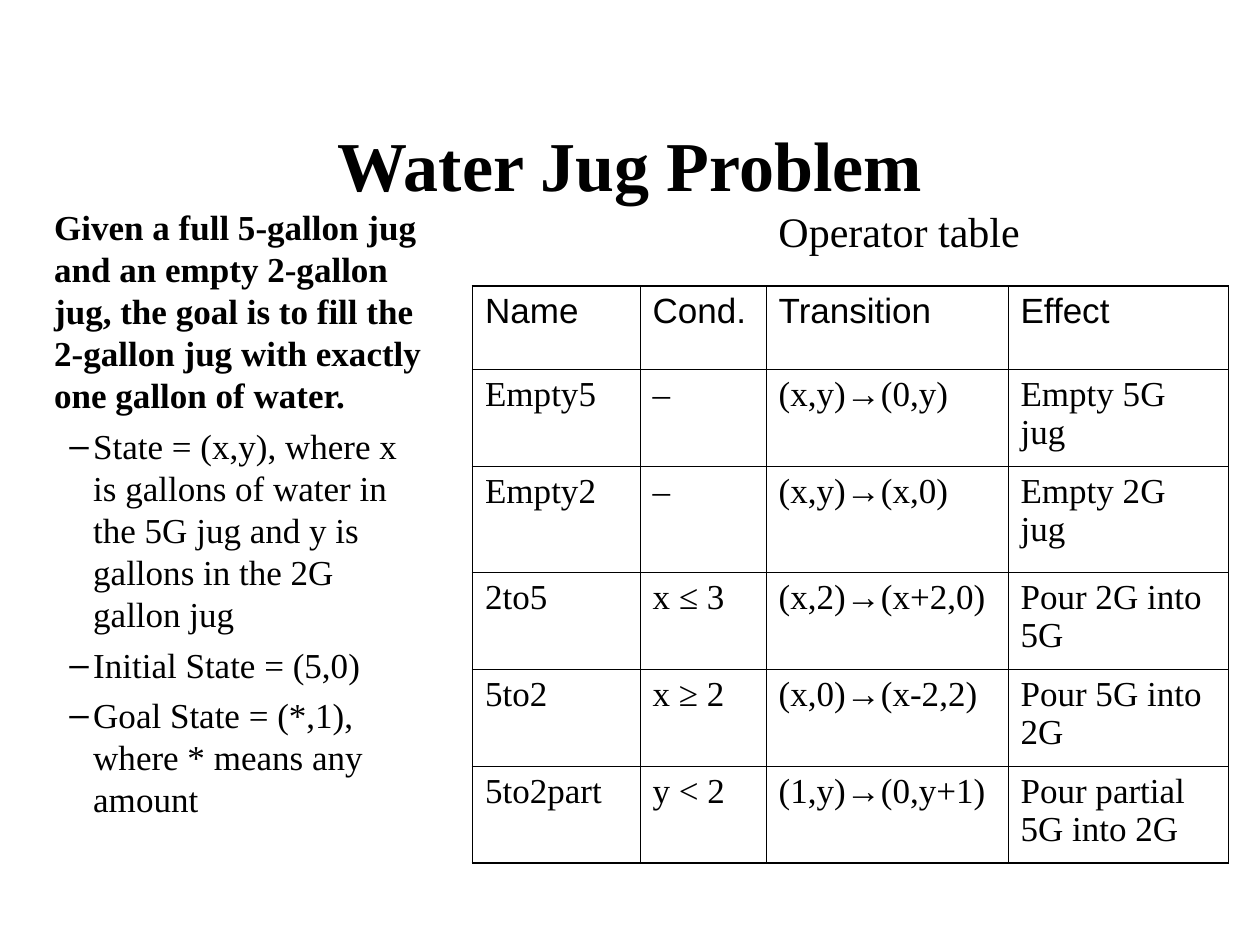
from dataclasses import dataclass

from lxml import etree
from pptx import Presentation
from pptx.dml.color import RGBColor
from pptx.enum.text import MSO_ANCHOR, MSO_AUTO_SIZE, PP_ALIGN
from pptx.oxml.ns import qn
from pptx.util import Inches, Pt

BLACK = RGBColor(0, 0, 0)
SERIF = "Times New Roman"
SANS = "Arial"
NONE = MSO_AUTO_SIZE.NONE
MIDDLE = MSO_ANCHOR.MIDDLE
TOP = MSO_ANCHOR.TOP
CENTER = PP_ALIGN.CENTER
LEFT = PP_ALIGN.LEFT
THIN, THICK = 0.45, 1.08


@dataclass
class Item:
    text: str
    level: int = 1


@dataclass
class Rule:
    name: str
    cond: str
    move: str
    effect: str

    def cells(self) -> list[str]:
        return [self.name, self.cond, self.move, self.effect]


ITEMS = [
    Item("Given a full 5-gallon jug and an empty 2-gallon jug, the goal is "
         "to fill the 2-gallon jug with exactly one gallon of water.", 0),
    Item("State = (x,y), where x is gallons of water in the 5G jug "
         "and y is gallons in the 2G gallon jug"),
    Item("Initial State = (5,0)"),
    Item("Goal State = (*,1), where * means any amount"),
]
RULES = [
    Rule("Name", "Cond.", "Transition", "Effect"),
    Rule("Empty5", "–", "(x,y)_→_(0,y)", "Empty 5G jug"),
    Rule("Empty2", "–", "(x,y)→(x,0)", "Empty 2G jug"),
    Rule("2to5", "x _≤ _3", "(x,2)→(x+2,0)", "Pour 2G into 5G"),
    Rule("5to2", "x ≥ 2", "(x,0)→(x-2,2)", "Pour 5G into 2G"),
    Rule("5to2part", "y < 2", "(1,y)→(0,y+1)", "Pour partial 5G into 2G"),
]
WIDTHS = [1.33, 1, 1.92, 1.75]
HEIGHTS = [0.66, 0.77, 0.84, 0.77, 0.77, 0.77]


def place(shape, left: float, top: float, width: float, height: float) -> None:
    shape.left, shape.top = Inches(left), Inches(top)
    shape.width, shape.height = Inches(width), Inches(height)


def style(para, size: float, face: str = SERIF, bold: bool = False) -> None:
    for run in para.runs:
        font = run.font
        font.size, font.name, font.bold = Pt(size), face, bold
        font.color.rgb = BLACK


def bullet(para, level: int) -> None:
    props = para._p.get_or_add_pPr()
    props.set("marL", str(Inches(0.31 * level)))
    props.set("indent", str(Inches(-0.19 * level)))
    if level:
        etree.SubElement(props, qn("a:buChar")).set("char", "–")
    else:
        etree.SubElement(props, qn("a:buNone"))


def border(cell, side: str, width: float) -> None:
    line = etree.SubElement(cell._tc.get_or_add_tcPr(), qn(f"a:{side}"))
    line.set("w", str(Pt(width)))
    fill = etree.SubElement(line, qn("a:solidFill"))
    etree.SubElement(fill, qn("a:srgbClr")).set("val", str(BLACK))


def draw_title(slide) -> None:
    title = slide.shapes.title
    place(title, 0.75, 0.67, 8.5, 1.25)
    frame = title.text_frame
    frame.text = "Water Jug Problem"
    frame.auto_size, frame.vertical_anchor = NONE, MIDDLE
    para = frame.paragraphs[0]
    para.alignment = CENTER
    style(para, 40, bold=True)


def draw_list(slide, items: list[Item]) -> None:
    body = slide.placeholders[1]
    place(body, 0.33, 1.58, 3.17, 5.5)
    frame = body.text_frame
    frame.text = "\n".join(item.text for item in items)
    frame.auto_size, frame.vertical_anchor = NONE, TOP
    for para, item in zip(frame.paragraphs, items):
        para.level = item.level
        para.alignment = LEFT
        para.space_before = Pt(5)
        para.line_spacing = Pt(24)
        bullet(para, item.level)
        style(para, 20, bold=item.level == 0)


def draw_cell(cell, text: str, face: str, edges: dict[str, float]) -> None:
    para = cell.text_frame.paragraphs[0]
    for index, part in enumerate(text.split("_")):
        run = para.add_run()
        run.text = part
        run.font.italic = index % 2 == 1
    para.space_before = Pt(5)
    para.line_spacing = Pt(22)
    style(para, 20, face)
    for side, width in edges.items():
        border(cell, side, width)
    cell.fill.background()


def draw_table(slide, rules: list[Rule]) -> None:
    rows, cols = len(rules), len(WIDTHS)
    frame = slide.shapes.add_table(
        rows, cols, Inches(3.75), Inches(2.27),
        Inches(sum(WIDTHS)), Inches(sum(HEIGHTS)))
    table = frame.table
    table.first_row = table.horz_banding = False
    for col, width in zip(table.columns, WIDTHS):
        col.width = Inches(width)
    for row, height in zip(table.rows, HEIGHTS):
        row.height = Inches(height)
    for r, rule in enumerate(rules):
        for c, text in enumerate(rule.cells()):
            outer = {"lnL": c == 0, "lnR": c == cols - 1,
                     "lnT": r == 0, "lnB": r == rows - 1}
            edges = {side: THICK if edge else THIN
                     for side, edge in outer.items()}
            draw_cell(table.cell(r, c), text, SERIF if r else SANS, edges)


def draw_label(slide) -> None:
    box = slide.shapes.add_textbox(
        Inches(6.08), Inches(1.58), Inches(2.2), Inches(0.5))
    frame = box.text_frame
    frame.text = "Operator table"
    frame.word_wrap, frame.auto_size = True, NONE
    para = frame.paragraphs[0]
    para.alignment = LEFT
    style(para, 24)


def main() -> None:
    deck = Presentation()
    deck.slide_width, deck.slide_height = Inches(10), Inches(7.5)
    slide = deck.slides.add_slide(deck.slide_layouts[1])
    draw_title(slide)
    draw_list(slide, ITEMS)
    draw_table(slide, RULES)
    draw_label(slide)
    deck.save("out.pptx")


if __name__ == "__main__":
    main()
